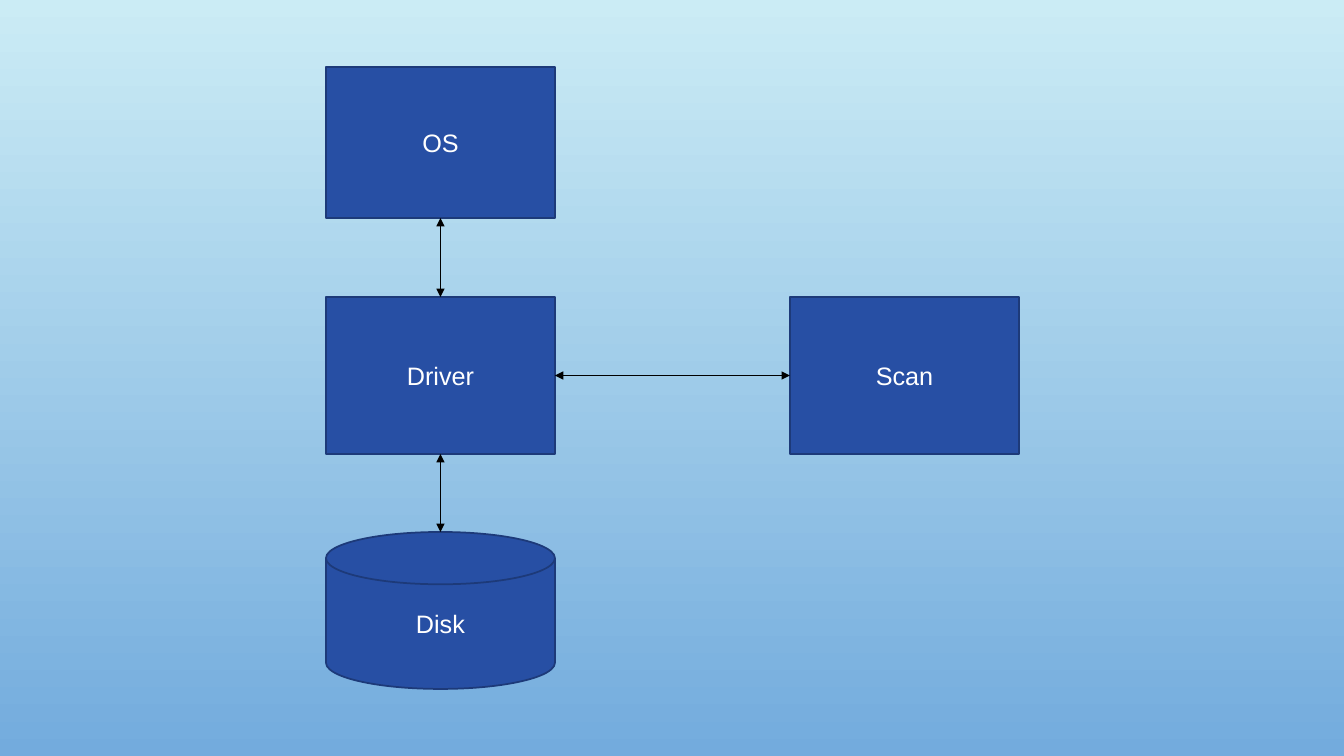
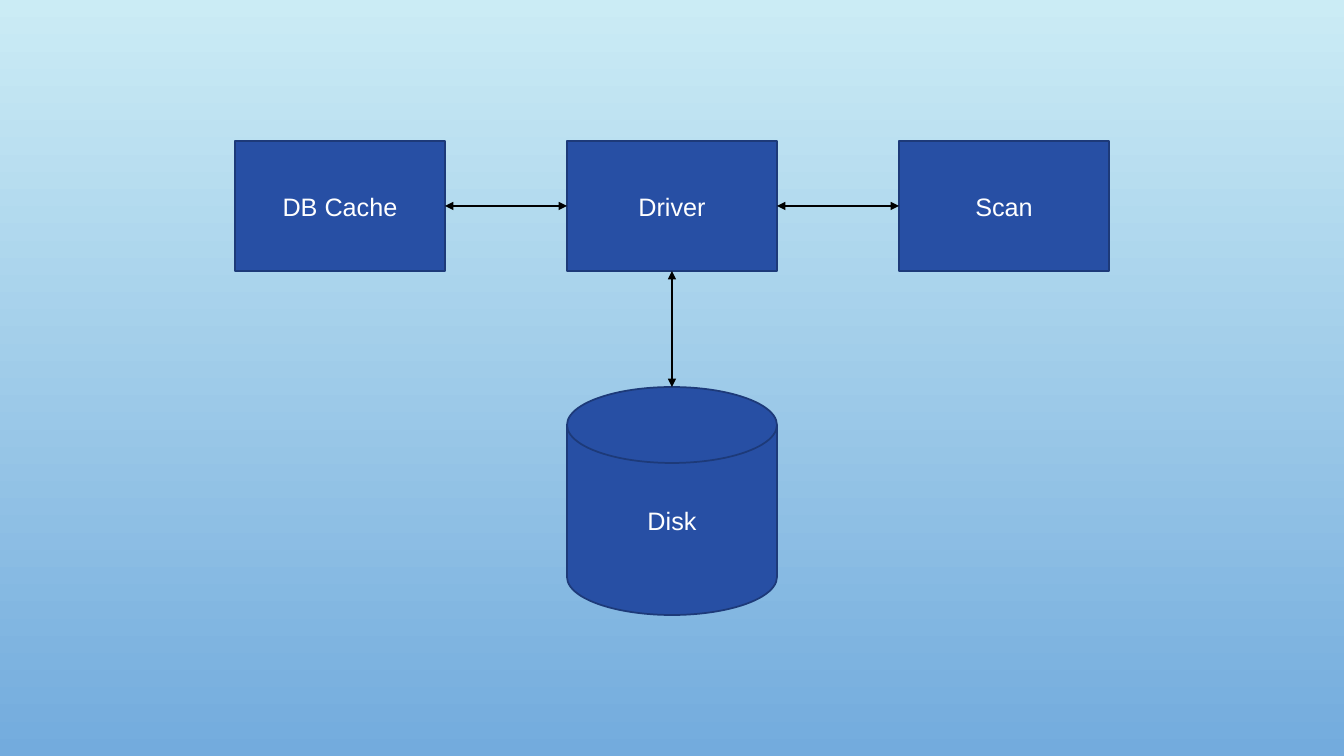
from lxml import etree
from pptx import Presentation
from pptx import util as u
from pptx.dml.color import RGBColor
from pptx.enum import shapes, text
from pptx.oxml import ns

WIDTH, HEIGHT = 1344, 756
SCALE = 12192000 / WIDTH
SKY = RGBColor(0xCB, 0xEC, 0xF5)
DUSK = RGBColor(0x73, 0xAB, 0xDD)
BLUE = RGBColor(0x27, 0x4F, 0xA4)
NAVY = RGBColor(0x1D, 0x3A, 0x79)
WHITE = RGBColor(0xFF, 0xFF, 0xFF)
BLACK = RGBColor(0x00, 0x00, 0x00)
RECT = shapes.MSO_SHAPE.RECTANGLE
DISK = shapes.MSO_SHAPE.FLOWCHART_MAGNETIC_DISK


def px(n):
    return u.Emu(round(n * SCALE))


def put_text(tf, content, size=18, font="Arial", color=WHITE,
             align=text.PP_ALIGN.CENTER, anchor=text.MSO_ANCHOR.MIDDLE):
    tf.word_wrap = True
    tf.vertical_anchor = anchor
    p = tf.paragraphs[0]
    p.alignment = align
    r = p.add_run()
    r.text = content
    r.font.size = u.Pt(size)
    r.font.name = font
    r.font.color.rgb = color


class Deck:
    line_width = u.Pt(1.25)

    def __init__(self):
        self.prs = Presentation()
        self.prs.slide_width, self.prs.slide_height = px(WIDTH), px(HEIGHT)
        fill = self.prs.slide_master.background.fill
        fill.gradient()
        fill.gradient_angle = 270
        for stop, position, color in zip(fill.gradient_stops, (0, 1), (SKY, DUSK)):
            stop.position = position
            stop.color.rgb = color
        self.s = None

    def slide(self):
        self.s = self.prs.slides.add_slide(self.prs.slide_layouts[6])

    def node(self, label, x, y, w, h, kind=RECT):
        sp = self.s.shapes.add_shape(kind, px(x), px(y), px(w), px(h))
        sp.shadow.inherit = False
        sp.fill.solid()
        sp.fill.fore_color.rgb = BLUE
        sp.line.color.rgb = NAVY
        sp.line.width = self.line_width
        put_text(sp.text_frame, label)
        return sp

    def arrow(self, x1, y1, x2, y2):
        line = self.s.shapes.add_connector(
            shapes.MSO_CONNECTOR.STRAIGHT, x1, y1, x2, y2)
        line.line.color.rgb = BLACK
        line.line.width = self.line_width
        ln = line.line._get_or_add_ln()
        for end in ("a:headEnd", "a:tailEnd"):
            etree.SubElement(ln, ns.qn(end), type="triangle")
        etree.SubElement(ln.getparent(), ns.qn("a:effectLst"))

    def link_down(self, upper, lower):
        x = upper.left + upper.width // 2
        self.arrow(x, upper.top + upper.height, x, lower.top)

    def link_across(self, left, right):
        y = left.top + left.height // 2
        self.arrow(left.left + left.width, y, right.left, y)


def main():
    deck = Deck()

    deck.slide()
    x, w, h = 326, 229, 157
    system = deck.node("OS", x, 67, w, 151)
    driver = deck.node("Driver", x, 297, w, h)
    scan = deck.node("Scan", 790, 297, w, h)
    disk = deck.node("Disk", x, 532, w, h, DISK)
    deck.link_down(system, driver)
    deck.link_down(driver, disk)
    deck.link_across(driver, scan)

    deck.slide()
    x, y, w, step = 235, 141, 210, 332
    cache, driver, scan = [
        deck.node(label, x + i * step, y, w, 130)
        for i, label in enumerate(("DB Cache", "Driver", "Scan"))]
    disk = deck.node("Disk", x + step, 387, w, 228, DISK)
    deck.link_across(cache, driver)
    deck.link_across(driver, scan)
    deck.link_down(driver, disk)

    deck.prs.save("out.pptx")


if __name__ == "__main__":
    main()
